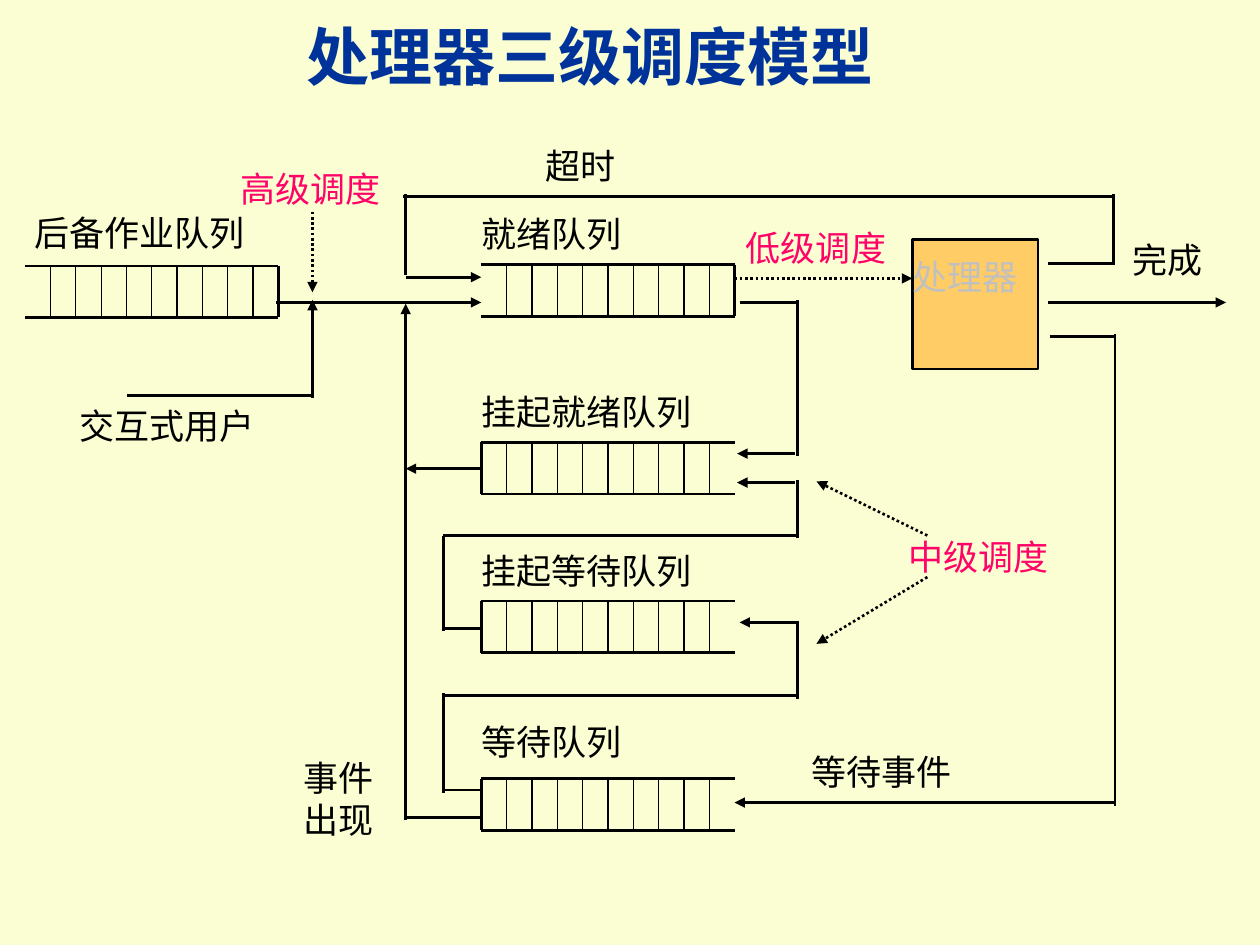
from dataclasses import dataclass

from pptx import Presentation
from pptx import util as u
from pptx.dml.color import RGBColor
from pptx.enum import dml, shapes, text
from pptx.oxml import ns
from lxml import etree

BLACK, PINK = "000000", "FF0369"
SANS, SERIF = "Noto Sans CJK JP", "Times New Roman"
QUEUE_W, QUEUE_H, CELLS = 2.01, 0.41, 10


@dataclass
class Queue:
    x: float
    y: float
    closed_right: bool


@dataclass
class Label:
    text: str
    x: float
    y: float
    w: float
    h: float
    color: str = BLACK


@dataclass
class Line:
    x1: float
    y1: float
    x2: float
    y2: float
    arrow: bool = False
    dotted: bool = False
    width: float = 1.5


QUEUES = [
    Queue(0.2, 2.11, True),
    Queue(3.82, 2.1, True),
    Queue(3.82, 3.51, False),
    Queue(3.82, 4.77, False),
    Queue(3.82, 6.18, False),
]

LABELS = [
    Label("后备作业队列", 0.27, 1.68, 1.92, 0.43),
    Label("就绪队列", 3.82, 1.69, 2.01, 0.41),
    Label("挂起就绪队列", 3.82, 3.1, 2.01, 0.41),
    Label("挂起等待队列", 3.82, 4.36, 2.01, 0.41),
    Label("等待队列", 3.82, 5.72, 2.01, 0.41),
    Label("超时", 4.33, 1.15, 3.38, 0.41),
    Label("完成", 8.99, 1.89, 0.74, 0.51),
    Label("等待事件", 6.44, 5.96, 1.81, 0.41),
    Label("交互式用户", 0.63, 3.21, 1.41, 0.43),
    Label("事件\n出现", 2.41, 6, 0.8, 0.82),
    Label("高级调度", 1.91, 1.33, 1.16, 0.48, PINK),
    Label("低级调度", 5.92, 1.8, 1.23, 0.3, PINK),
    Label("中级调度", 7.21, 4.25, 1.18, 0.43, PINK),
]

LINES = [
    Line(2.19, 2.4, 3.82, 2.4, arrow=True),
    Line(2.49, 3.14, 1.01, 3.14),
    Line(2.48, 3.16, 2.48, 2.38, arrow=True),
    Line(8.32, 2.4, 9.73, 2.4, arrow=True),
    Line(8.32, 2.09, 8.84, 2.09),
    Line(8.84, 1.54, 8.84, 2.1),
    Line(3.2, 1.56, 8.84, 1.56),
    Line(3.22, 1.54, 3.22, 2.18),
    Line(3.22, 2.2, 3.82, 2.2, arrow=True),
    Line(8.33, 2.67, 8.85, 2.67),
    Line(8.85, 2.65, 8.85, 6.4),
    Line(8.85, 6.37, 5.83, 6.37, arrow=True),
    Line(3.82, 6.49, 3.22, 6.49),
    Line(3.22, 6.51, 3.22, 2.41, arrow=True),
    Line(3.82, 3.72, 3.22, 3.72, arrow=True),
    Line(5.87, 2.4, 6.32, 2.4),
    Line(6.33, 2.38, 6.33, 3.62),
    Line(6.31, 3.6, 5.85, 3.6, arrow=True),
    Line(3.82, 4.99, 3.52, 4.99),
    Line(3.52, 4.25, 3.52, 5.01),
    Line(6.33, 4.25, 3.52, 4.25),
    Line(6.33, 3.81, 6.33, 4.27),
    Line(6.31, 3.83, 5.85, 3.83, arrow=True),
    Line(3.82, 6.27, 3.52, 6.27),
    Line(3.52, 5.5, 3.52, 6.29),
    Line(6.33, 5.52, 3.52, 5.52),
    Line(6.33, 4.93, 6.33, 5.55),
    Line(6.33, 4.94, 5.87, 4.94, arrow=True),
    Line(2.48, 1.68, 2.48, 2.32, arrow=True, dotted=True),
    Line(5.83, 2.21, 7.24, 2.21, arrow=True, dotted=True),
    Line(7.36, 4.25, 6.48, 3.82, arrow=True, dotted=True),
    Line(7.36, 4.58, 6.48, 5.11, arrow=True, dotted=True),
]


def paint(color_format, color: str) -> None:
    color_format.rgb = RGBColor.from_string(color)


def set_margins(tf, left: float, top: float, right: float, bottom: float) -> None:
    tf.margin_left, tf.margin_top = u.Inches(left), u.Inches(top)
    tf.margin_right, tf.margin_bottom = u.Inches(right), u.Inches(bottom)


def format_text(tf, size: int, color: str, font: str = SANS, bold: bool = False,
                align=text.PP_ALIGN.LEFT, anchor=text.MSO_ANCHOR.TOP) -> None:
    tf.word_wrap = True
    tf.auto_size = text.MSO_AUTO_SIZE.NONE
    tf.vertical_anchor = anchor
    for p in tf.paragraphs:
        p.alignment = align
        for r in p.runs:
            r.font.size, r.font.bold, r.font.name = u.Pt(size), bold, font
            paint(r.font.color, color)
            ea = etree.SubElement(r.font._element, ns.qn("a:ea"))
            ea.set("typeface", SANS)


def draw_line(s, line: Line) -> None:
    c = s.shapes.add_connector(
        shapes.MSO_CONNECTOR.STRAIGHT,
        u.Inches(line.x1), u.Inches(line.y1), u.Inches(line.x2), u.Inches(line.y2))
    paint(c.line.color, BLACK)
    c.line.width = u.Pt(line.width)
    if line.dotted:
        c.line.dash_style = dml.MSO_LINE.ROUND_DOT
    if line.arrow:
        tail = etree.SubElement(c.line._get_or_add_ln(), ns.qn("a:tailEnd"))
        tail.set("type", "triangle")
    etree.SubElement(c._element.spPr, ns.qn("a:effectLst"))


def draw_queue(s, q: Queue) -> None:
    right, bottom = q.x + QUEUE_W, q.y + QUEUE_H
    for y in (q.y, bottom):
        draw_line(s, Line(q.x, y, right, y))
    end = right if q.closed_right else q.x
    draw_line(s, Line(end, q.y, end, bottom))
    for i in range(1, CELLS):
        x = q.x + i * QUEUE_W / CELLS
        draw_line(s, Line(x, q.y, x, bottom, width=0.75))


def draw_label(s, label: Label) -> None:
    sp = s.shapes.add_textbox(u.Inches(label.x), u.Inches(label.y),
                              u.Inches(label.w), u.Inches(label.h))
    tf = sp.text_frame
    tf.text = label.text
    set_margins(tf, 0, 0, 0, 0)
    format_text(tf, 20, label.color)


def draw_title(s) -> None:
    sp = s.shapes.title
    sp.left, sp.top = u.Inches(0.43), u.Inches(0)
    sp.width, sp.height = u.Inches(8.5), u.Inches(0.87)
    tf = sp.text_frame
    tf.text = "处理器三级调度模型"
    set_margins(tf, 0.1, 0.05, 0.1, 0.05)
    format_text(tf, 36, "003399", SERIF, True, text.PP_ALIGN.CENTER, text.MSO_ANCHOR.MIDDLE)


def draw_processor(s) -> None:
    sp = s.shapes.add_shape(shapes.MSO_SHAPE.RECTANGLE, u.Inches(7.24), u.Inches(1.9),
                            u.Inches(1), u.Inches(1.03))
    sp.shadow.inherit = False
    sp.fill.solid()
    paint(sp.fill.fore_color, "FFCC66")
    paint(sp.line.color, BLACK)
    sp.line.width = u.Pt(1.5)
    tf = sp.text_frame
    tf.text = "处理器"
    set_margins(tf, 0, 0.13, 0, 0.05)
    format_text(tf, 20, "C0C0C0")


def main() -> None:
    prs = Presentation()
    prs.slide_width, prs.slide_height = u.Inches(10), u.Inches(7.5)
    s = prs.slides.add_slide(prs.slide_layouts[5])
    s.background.fill.solid()
    paint(s.background.fill.fore_color, "FAFED2")
    draw_title(s)
    for q in QUEUES:
        draw_queue(s, q)
    draw_processor(s)
    for line in LINES:
        draw_line(s, line)
    for label in LABELS:
        draw_label(s, label)
    prs.save("out.pptx")


if __name__ == "__main__":
    main()
